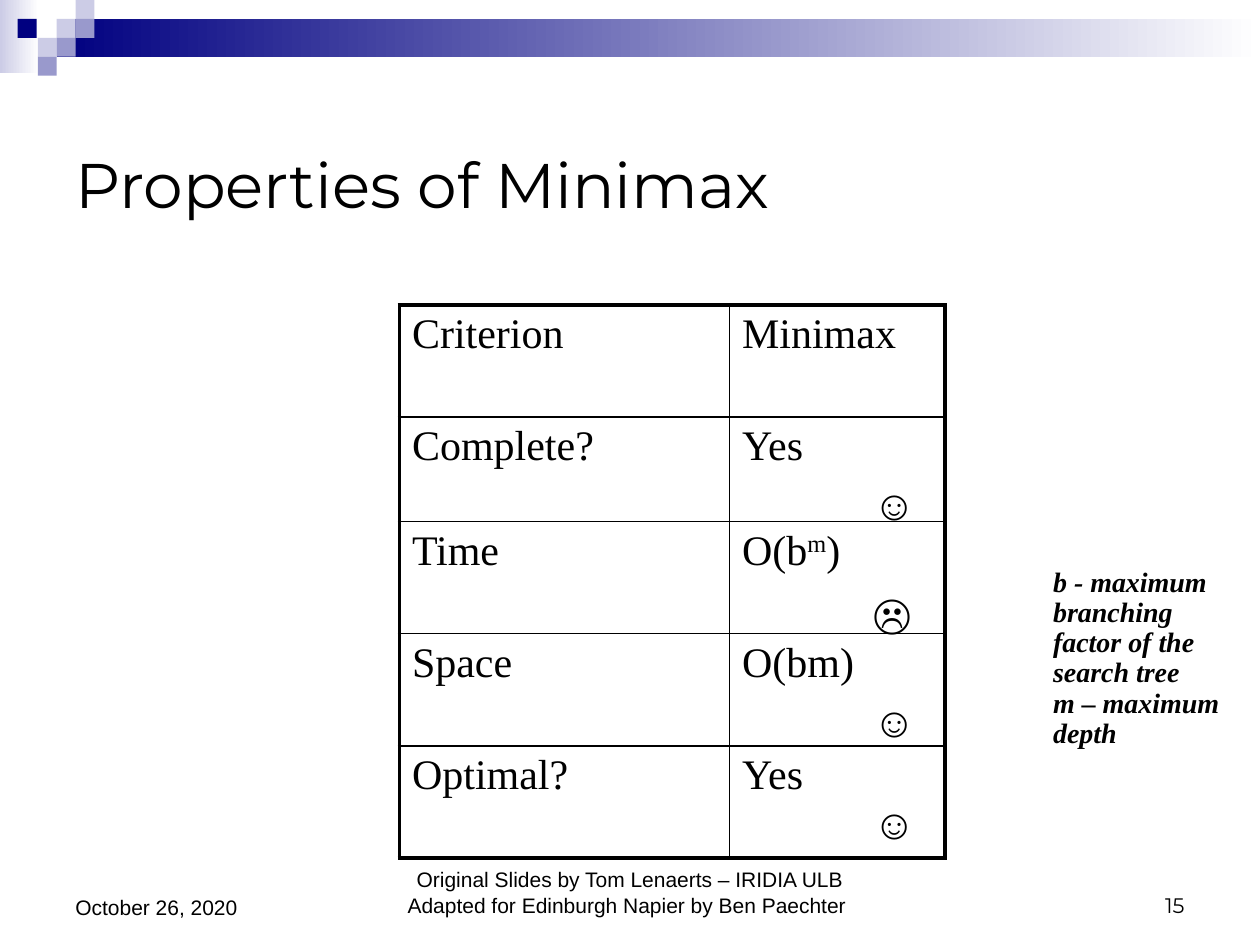
import pptx
import pptx.util
import pptx.dml.color
import pptx.enum.shapes
import pptx.enum.text
import pptx.oxml
import pptx.oxml.ns
import lxml.etree

Inches = pptx.util.Inches
Pt = pptx.util.Pt
RGB = pptx.dml.color.RGBColor.from_string
ALIGN = pptx.enum.text.PP_ALIGN
ANCHOR = pptx.enum.text.MSO_ANCHOR
C = {"black": "000000", "white": "FFFFFF", "navy": "000080", "pale": "CCCCE6", "mid": "9999CC"}
SERIF = "Times New Roman"

prs = pptx.Presentation()
prs.slide_width, prs.slide_height = Inches(10), Inches(7.5)
s = prs.slides.add_slide(prs.slide_layouts[6])


def write(tf, *lines, size=24, font=SERIF, align=ALIGN.LEFT, anchor=ANCHOR.TOP,
          wrap=True, bold=False, italic=False, spacing=None, indent=0):
    tf.word_wrap = wrap
    tf.vertical_anchor = anchor
    for i, line in enumerate(lines):
        p = tf.add_paragraph() if i else tf.paragraphs[0]
        p.alignment = align
        if spacing:
            p.line_spacing = spacing
        if indent:
            pPr = p._p.get_or_add_pPr()
            pPr.set("marL", str(Inches(indent)))
            pPr.set("indent", "0")
        for j, part in enumerate(line.split("^")):
            r = p.add_run()
            r.text = part
            r.font.size, r.font.name = Pt(size), font
            r.font.bold, r.font.italic = bold, italic
            r.font.color.rgb = RGB(C["black"])
            if j % 2:
                r._r.get_or_add_rPr().set("baseline", "30000")


def add_box(x, y, w, h, *lines, **style):
    sp = s.shapes.add_textbox(Inches(x), Inches(y), Inches(w), Inches(h))
    write(sp.text_frame, *lines, **style)


for x, y, w, h, color, fade in [
    (0, 0, 0.31, 0.58, "pale", True),
    (0.45, 0.15, 9.55, 0.3, "navy", True),
    (0.45, 0.15, 0.15, 0.15, "pale", False),
    (0.6, 0, 0.15, 0.15, "pale", False),
    (0.6, 0.15, 0.15, 0.15, "mid", False),
    (0.3, 0.3, 0.15, 0.15, "pale", False),
    (0.14, 0.15, 0.15, 0.15, "navy", False),
    (0.45, 0.3, 0.15, 0.15, "mid", False),
    (0.3, 0.45, 0.15, 0.15, "mid", False),
]:
    sp = s.shapes.add_shape(pptx.enum.shapes.MSO_SHAPE.RECTANGLE,
                            Inches(x), Inches(y), Inches(w), Inches(h))
    sp.shadow.inherit = False
    sp.line.fill.background()
    if fade:
        sp.fill.gradient()
        sp.fill.gradient_angle = 0
        for stop, name in zip(sp.fill.gradient_stops, (color, "white")):
            stop.color.rgb = RGB(C[name])
    else:
        sp.fill.solid()
        sp.fill.fore_color.rgb = RGB(C[color])

add_box(0.5, 0.83, 9, 1.25, "Properties of Minimax", size=36, font="Montserrat", anchor=ANCHOR.MIDDLE)

rows = [("Criterion", "Minimax"), ("Complete?", "Yes"), ("Time", "O(b^m^)"),
        ("Space", "O(bm)"), ("Optimal?", "Yes")]
frame = s.shapes.add_table(len(rows), 2, Inches(3.17), Inches(2.42), Inches(4.33), Inches(4.39))
table = frame.table
table.first_row = table.horz_banding = False
for col, width in zip(table.columns, (2.62, 1.71)):
    col.width = Inches(width)
for i, (row, height) in enumerate(zip(rows, (0.89, 0.83, 0.89, 0.89, 0.89))):
    table.rows[i].height = Inches(height)
    for j, text in enumerate(row):
        cell = table.cell(i, j)
        write(cell.text_frame, text)
        tcPr = cell._tc.get_or_add_tcPr()
        outer = {"lnL": j == 0, "lnR": j == 1, "lnT": i == 0, "lnB": i == len(rows) - 1}
        for side, thick in outer.items():
            ln = lxml.etree.SubElement(tcPr, pptx.oxml.ns.qn("a:" + side), w=str(Pt(2.25 if thick else 1)))
            fill = lxml.etree.SubElement(ln, pptx.oxml.ns.qn("a:solidFill"))
            lxml.etree.SubElement(fill, pptx.oxml.ns.qn("a:srgbClr"), val=C["black"])
        cell.fill.background()

for y, face in [(3.75, "☺"), (4.61, "☹"), (5.47, "☺"), (6.28, "☺")]:
    add_box(6.83, y, 0.48, 0.5, face, wrap=False)

add_box(7.76, 4.46, 2.12, 1.56, "b - maximum branching factor of the search tree", "m – maximum depth",
        size=16, bold=True, italic=True, spacing=0.9, indent=0.5)

add_box(0.5, 6.83, 2.33, 0.52, "October 26, 2020", size=12, font="Arial", anchor=ANCHOR.BOTTOM)
add_box(3.11, 6.83, 3.78, 0.5, "Original Slides by Tom Lenaerts – IRIDIA ULB",
        "Adapted for Edinburgh Napier by Ben Paechter ",
        size=12, font="Arial", align=ALIGN.CENTER, anchor=ANCHOR.BOTTOM)
add_box(7.17, 6.83, 2.33, 0.5, "15", size=12, font="Montserrat", align=ALIGN.RIGHT, anchor=ANCHOR.BOTTOM)

prs.save("out.pptx")
